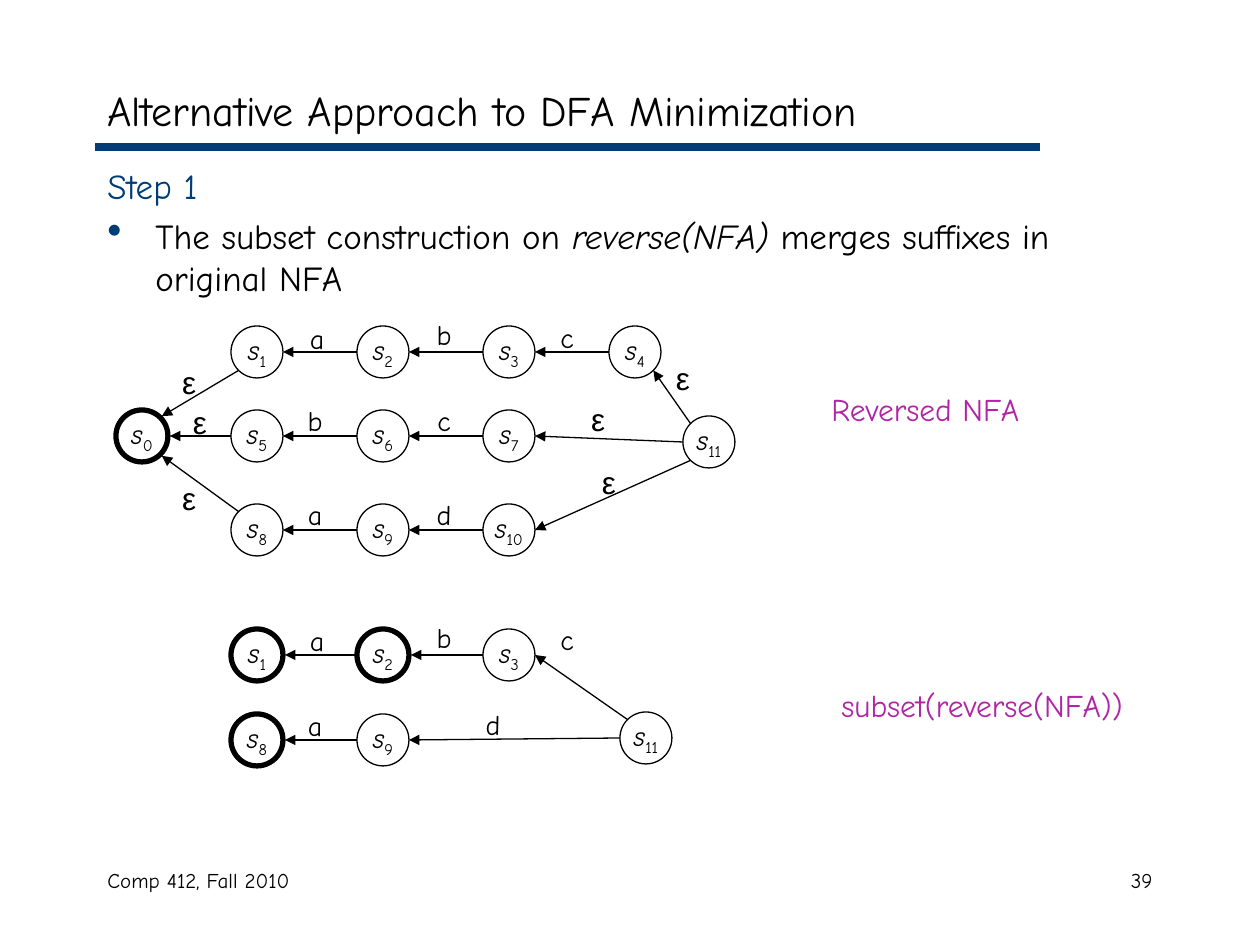
"""Build the slide on DFA minimization by reversing an NFA and taking subsets."""
from dataclasses import dataclass
from math import sqrt

from lxml.etree import SubElement
from pptx import Presentation
from pptx.dml.color import RGBColor
from pptx.enum.shapes import MSO_CONNECTOR, MSO_SHAPE
from pptx.enum.text import MSO_ANCHOR, PP_ALIGN
from pptx.oxml.ns import qn
from pptx.util import Emu, Pt


@dataclass(frozen=True)
class Theme:
    ink: RGBColor = RGBColor.from_string("000000")
    navy: RGBColor = RGBColor.from_string("003C75")
    purple: RGBColor = RGBColor.from_string("B025A6")
    font: str = "Comic Neue"
    epsilon_font: str = "Arial"
    title: Pt = Pt(24)
    body: Pt = Pt(20)
    caption: Pt = Pt(18)
    state: Pt = Pt(16)
    footer: Pt = Pt(12)
    thin: Pt = Pt(0.75)
    thick: Pt = Pt(3)
    rule: Pt = Pt(4.5)


theme = Theme()
PX = 914400 / 126
RADIUS = 26
DIAGONAL = 1 / sqrt(2)
SIDES = {
    "W": (-1, 0), "E": (1, 0),
    "NW": (-DIAGONAL, -DIAGONAL), "NE": (DIAGONAL, -DIAGONAL),
    "SW": (-DIAGONAL, DIAGONAL), "SE": (DIAGONAL, DIAGONAL),
}

presentation = Presentation()
presentation.slide_width = Emu(round(1260 * PX))
presentation.slide_height = Emu(round(945 * PX))
slide = presentation.slides.add_slide(presentation.slide_layouts[6])


def add_text(text, box, size, color=theme.ink, font=theme.font, align=PP_ALIGN.LEFT):
    shape = slide.shapes.add_textbox(*(Emu(round(value * PX)) for value in box))
    shape.text_frame.word_wrap = True
    paragraph = shape.text_frame.paragraphs[0]
    paragraph.text = text
    paragraph.alignment = align
    paragraph.font.size = size
    paragraph.font.name = font
    paragraph.font.color.rgb = color
    return shape.text_frame


def add_line(start, end, color, width):
    points = (Emu(round(value * PX)) for value in (*start, *end))
    connector = slide.shapes.add_connector(MSO_CONNECTOR.STRAIGHT, *points)
    connector.line.color.rgb = color
    connector.line.width = width
    SubElement(connector._element.spPr, qn("a:effectLst"))
    return connector


add_line((95, 147), (1040, 147), theme.navy, theme.rule)
add_text("Comp 412, Fall 2010", (95, 861, 399, 63), theme.footer)
add_text("39", (903, 861, 262, 63), theme.footer, align=PP_ALIGN.RIGHT)
title = add_text("Alternative Approach to DFA Minimization", (95, 73, 1071, 73), theme.title)
title.vertical_anchor = MSO_ANCHOR.MIDDLE

body = add_text("Step 1", (95, 158, 1071, 683), theme.body, theme.navy)
bullet = body.add_paragraph()
properties = bullet._p.get_or_add_pPr()
properties.set("marL", str(round(48 * PX)))
properties.set("indent", str(round(-48 * PX)))
bullet_color = SubElement(properties, qn("a:buClr"))
SubElement(bullet_color, qn("a:srgbClr"), val=str(theme.navy))
SubElement(properties, qn("a:buSzPct"), val="120000")
SubElement(properties, qn("a:buChar"), char="•")
bullet.space_before = Pt(5)
bullet.font.size = theme.body
bullet.font.name = theme.font
bullet.font.color.rgb = theme.ink
for text, italic in (
    ("The subset construction on ", False),
    ("reverse(NFA) ", True),
    ("merges suffixes in original NFA", False),
):
    run = bullet.add_run()
    run.text = text
    run.font.italic = italic

add_text("Reversed NFA", (819, 384, 273, 50), theme.caption, theme.purple)
add_text("subset(reverse(NFA))", (829, 680, 388, 50), theme.caption, theme.purple)

reversed_nfa = (
    {
        0: (142, 436), 11: (709, 442),
        1: (257, 352), 2: (383, 352), 3: (509, 352), 4: (635, 352),
        5: (257, 436), 6: (383, 436), 7: (509, 436),
        8: (257, 530), 9: (383, 530), 10: (509, 530),
    },
    {0},
    (
        (1, "SW", 0, "NE", "ε", 168, 357),
        (2, "W", 1, "E", "a", 296, 315),
        (3, "W", 2, "E", "b", 423, 311),
        (4, "W", 3, "E", "c", 546, 314),
        (5, "W", 0, "E", "ε", 179, 397),
        (6, "W", 5, "E", "b", 294, 397),
        (7, "W", 6, "E", "c", 423, 397),
        (8, "NW", 0, "SE", "ε", 168, 473),
        (9, "W", 8, "E", "a", 294, 491),
        (10, "W", 9, "E", "d", 423, 491),
        (11, "NW", 4, "SE", "ε", 662, 353),
        (11, "W", 7, "E", "ε", 577, 394),
        (11, "SW", 10, "E", "ε", 588, 457),
    ),
)
subset_dfa = (
    {
        1: (257, 655), 2: (383, 655), 3: (509, 655),
        8: (257, 740), 9: (383, 740), 11: (646, 738),
    },
    {1, 2, 8},
    (
        (2, "W", 1, "E", "a", 296, 617),
        (3, "W", 2, "E", "b", 423, 614),
        (11, "NW", 3, "E", "c", 546, 616),
        (9, "W", 8, "E", "a", 294, 702),
        (11, "W", 9, "E", "d", 472, 701),
    ),
)

for states, final_states, transitions in (reversed_nfa, subset_dfa):
    for number, (x, y) in states.items():
        box = (x - RADIUS, y - RADIUS, 2 * RADIUS, 2 * RADIUS)
        shape = slide.shapes.add_shape(
            MSO_SHAPE.OVAL, *(Emu(round(value * PX)) for value in box)
        )
        shape.shadow.inherit = False
        shape.fill.background()
        shape.line.color.rgb = theme.ink
        shape.line.width = theme.thick if number in final_states else theme.thin
        shape.text_frame.word_wrap = False
        shape.text_frame.vertical_anchor = MSO_ANCHOR.MIDDLE
        paragraph = shape.text_frame.paragraphs[0]
        paragraph.alignment = PP_ALIGN.CENTER
        paragraph.font.size = theme.state
        paragraph.font.name = theme.font
        paragraph.font.color.rgb = theme.ink
        letter, subscript = paragraph.add_run(), paragraph.add_run()
        letter.text, subscript.text = "s", str(number)
        letter.font.italic = True
        subscript._r.get_or_add_rPr().set("baseline", "-25000")

    for source, source_side, target, target_side, symbol, left, top in transitions:
        ends = []
        for number, side in ((source, source_side), (target, target_side)):
            reach = RADIUS + 2 * (number in final_states)
            ends.append([c + reach * d for c, d in zip(states[number], SIDES[side])])
        arrow = add_line(*ends, theme.ink, theme.thin)
        SubElement(arrow.line._get_or_add_ln(), qn("a:tailEnd"), type="triangle")
        is_epsilon = symbol == "ε"
        add_text(
            symbol,
            (left, top, 42, 50 if is_epsilon else 46),
            theme.caption if is_epsilon else theme.state,
            font=theme.epsilon_font if is_epsilon else theme.font,
            align=PP_ALIGN.CENTER,
        )

presentation.save("out.pptx")
